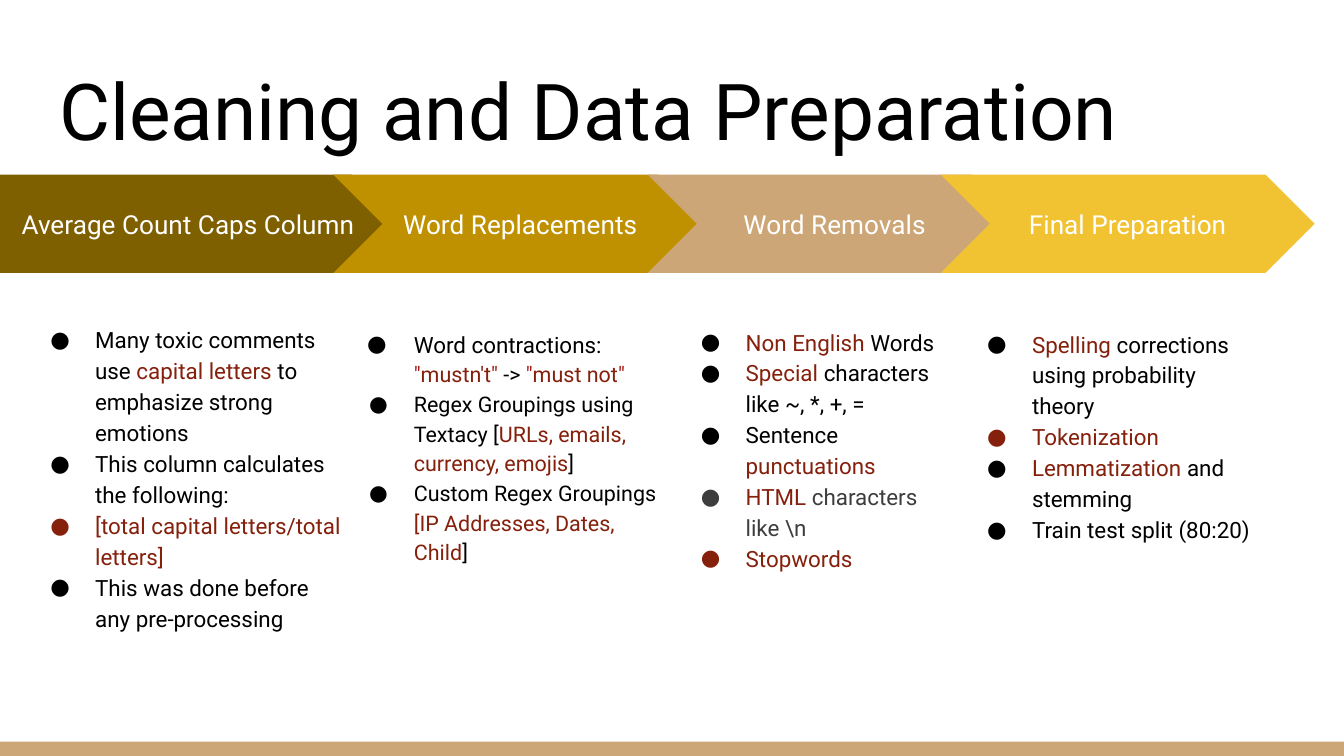
from dataclasses import dataclass

from lxml import etree
from pptx import Presentation
from pptx.dml.color import RGBColor
from pptx.enum.shapes import MSO_SHAPE
from pptx.enum.text import MSO_ANCHOR, MSO_AUTO_SIZE, PP_ALIGN
from pptx.oxml.ns import qn
from pptx.util import Pt

RECT, TAG, CHEVRON = MSO_SHAPE.RECTANGLE, MSO_SHAPE.PENTAGON, MSO_SHAPE.CHEVRON
LEFT, CENTER = PP_ALIGN.LEFT, PP_ALIGN.CENTER
TOP, MIDDLE, BOTTOM = MSO_ANCHOR.TOP, MSO_ANCHOR.MIDDLE, MSO_ANCHOR.BOTTOM
TITLE_ONLY = 5


@dataclass(frozen=True)
class Theme:
    font: str = "Roboto"
    black: str = "000000"
    white: str = "FFFFFF"
    gray: str = "3D3D3D"
    red: str = "85200C"
    quote: str = "A31515"
    tan: str = "CCA677"
    brown: str = "7F6000"
    gold: str = "BF9000"
    yellow: str = "F1C232"
    title: float = 42
    head: float = 14
    body: float = 12
    small: float = 11.5


T = Theme()

# Step bands: shape, left, width, colour, label
STEPS = [
    (TAG, 0, 214.6, T.brown, "Average Count Caps Column"),
    (CHEVRON, 178.6, 200.2, T.gold, "Word Replacements"),
    (CHEVRON, 347, 200.2, T.tan, "Word Removals"),
    (CHEVRON, 504, 200.2, T.yellow, "Final Preparation"),
]


def red(text):
    return text, T.red


def quote(text, **kw):
    return [('"', T.quote), red(text), ('"', T.quote)]


# Lists: left, top, width, size after the first run, items of (bullet colour, runs)
LISTS = [
    (7.9, 165.6, 182.2, T.body, [
        (T.black, ["Many toxic comments use ", red("capital letters"),
                   " to emphasize strong emotions"]),
        (T.black, ["This column calculates the following:"]),
        (T.red, [red("[total capital letters/total letters]")]),
        (T.black, ["This was done before any pre-processing"]),
    ]),
    (178.6, 167.8, 181.4, T.small, [
        (T.black, ["Word contractions: ", *quote("mustn't"), " -> ",
                   *quote("must not")]),
        (T.black, ["Regex Groupings using Textacy [",
                   red("URLs, emails, currency, emojis"), "]"]),
        (T.black, ["Custom Regex Groupings ",
                   red("[IP Addresses, Dates, Child"), "]"]),
    ]),
    (356.4, 166.7, 162.7, T.body, [
        (T.black, [red("Non English"), " Words"]),
        (T.black, [red("Special "), "characters like ~, *, +, ="]),
        (T.black, ["Sentence ", red("punctuations")]),
        (T.gray, [red("HTML "), ("characters like \\n", T.gray)]),
        (T.red, [red("Stopwords")]),
    ]),
    (509.8, 167.8, 168.5, T.body, [
        (T.black, [red("Spelling "), "corrections using probability theory"]),
        (T.red, [red("Tokenization")]),
        (T.black, [red("Lemmatization "), "and stemming"]),
        (T.black, ["Train test split (80:20)"]),
    ]),
]


def rgb(code):
    return RGBColor.from_string(code)


def write(para, text, size=T.body, color=T.black, align=LEFT):
    """Add one formatted run to a paragraph."""
    para.alignment = align
    run = para.add_run()
    run.text = text
    run.font.name = T.font
    run.font.size = Pt(size)
    run.font.color.rgb = rgb(color)


def frame(shape, anchor):
    """Set wrapping, anchor and equal insets, and return the text frame."""
    box = shape.text_frame
    box.word_wrap = True
    box.auto_size = MSO_AUTO_SIZE.NONE
    box.vertical_anchor = anchor
    box.margin_left = box.margin_right = Pt(7.2)
    box.margin_top = box.margin_bottom = Pt(7.2)
    return box


def bullet(para, color, hang):
    props = para._p.get_or_add_pPr()
    props.set("marL", str(Pt(36)))
    props.set("indent", str(-Pt(hang)))
    tint = etree.SubElement(props, qn("a:buClr"))
    etree.SubElement(tint, qn("a:srgbClr"), val=color)
    etree.SubElement(props, qn("a:buFont"), typeface=T.font)
    etree.SubElement(props, qn("a:buChar"), char="●")


def block(slide, kind, left, top, width, height, color):
    shape = slide.shapes.add_shape(kind, Pt(left), Pt(top), Pt(width), Pt(height))
    shape.shadow.inherit = False
    shape.fill.solid()
    shape.fill.fore_color.rgb = rgb(color)
    shape.line.fill.background()
    return shape


def heading(slide, text):
    title = slide.shapes.title
    title.left, title.top = Pt(24.5), Pt(25.2)
    title.width, title.height = Pt(671), Pt(65.5)
    write(frame(title, BOTTOM).paragraphs[0], text, size=T.title)


def step(slide, kind, left, width, color, label):
    band = block(slide, kind, left, 93.6, width, 52.6, color)
    band.adjustments[0] = 0.5
    write(frame(band, MIDDLE).paragraphs[0], label,
          size=T.head, color=T.white, align=CENTER)


def points(slide, left, top, width, rest, items):
    """Add a bulleted list; runs after the very first take the size rest."""
    shape = slide.shapes.add_textbox(Pt(left), Pt(top), Pt(width), Pt(206))
    box = frame(shape, TOP)
    size = T.body
    for i, (dot, runs) in enumerate(items):
        para = box.add_paragraph() if i else box.paragraphs[0]
        para.line_spacing = 1.15
        bullet(para, dot, 25 if size != rest else 24)
        for run in runs:
            text, color = (run, T.black) if isinstance(run, str) else run
            write(para, text, size=size, color=color)
            size = rest


def main():
    deck = Presentation()
    deck.slide_width, deck.slide_height = Pt(720), Pt(405)
    slide = deck.slides.add_slide(deck.slide_layouts[TITLE_ONLY])
    block(slide, RECT, 0, 397.4, 720, 7.6, T.tan)
    heading(slide, "Cleaning and Data Preparation")
    for band, column in zip(STEPS, LISTS):
        step(slide, *band)
        points(slide, *column)
    deck.save("out.pptx")


if __name__ == "__main__":
    main()
